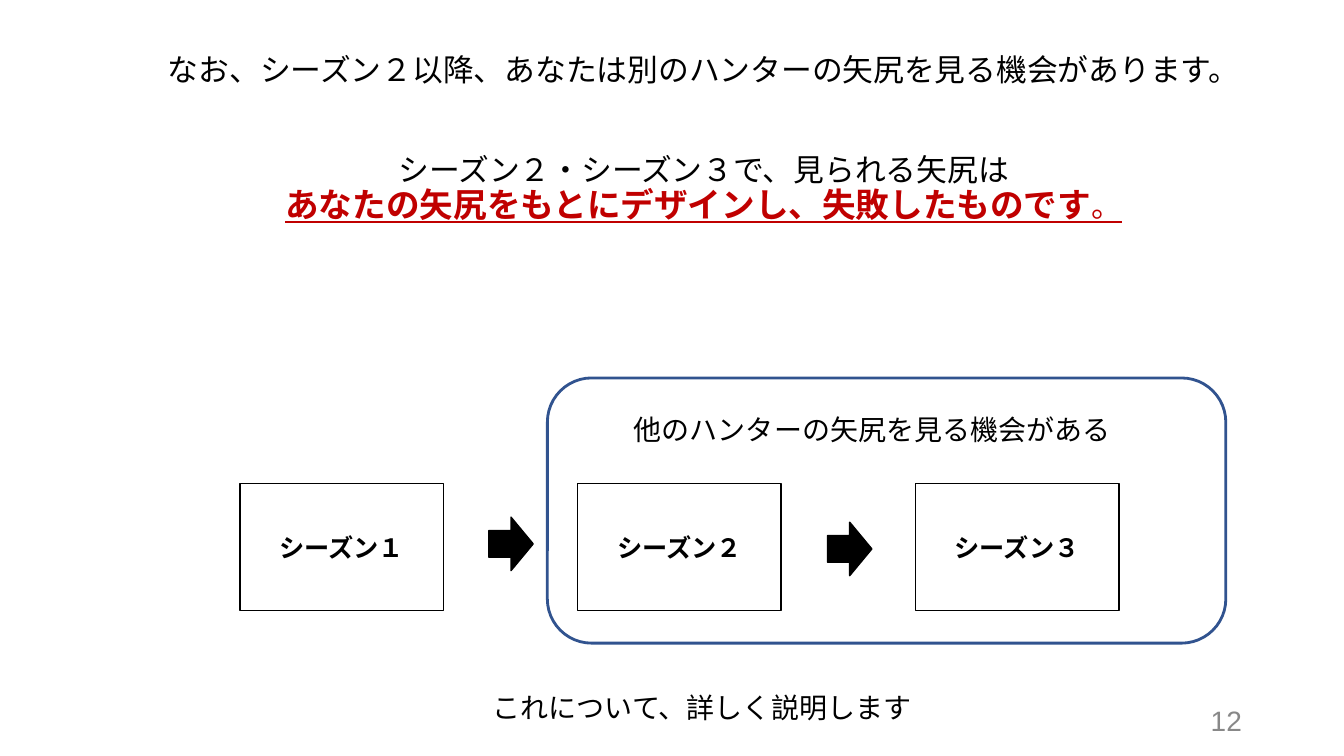
from pptx import Presentation
from pptx.dml.color import RGBColor
from pptx.enum.shapes import MSO_SHAPE
from pptx.enum.text import MSO_ANCHOR, MSO_AUTO_SIZE, PP_ALIGN
from pptx.util import Pt

RECTANGLE = MSO_SHAPE.RECTANGLE
ROUNDED = MSO_SHAPE.ROUNDED_RECTANGLE
ARROW = MSO_SHAPE.RIGHT_ARROW
LEFT, CENTER, RIGHT = PP_ALIGN.LEFT, PP_ALIGN.CENTER, PP_ALIGN.RIGHT
TOP, MIDDLE = MSO_ANCHOR.TOP, MSO_ANCHOR.MIDDLE
FIXED_SIZE = MSO_AUTO_SIZE.NONE

FONT = "Arial"
COLORS = {"black": "000000", "white": "FFFFFF", "red": "C00000",
          "frame": "31538F", "gray": "888888"}
TITLE_ONLY = 5


def color(name):
    return RGBColor.from_string(COLORS[name])


def add_run(paragraph, text, size=20, ink="black", bold=False, underline=False):
    run = paragraph.add_run()
    run.text = text
    font = run.font
    font.name, font.size = FONT, Pt(size)
    font.bold, font.underline = bold, underline
    font.color.rgb = color(ink)


class SlideBuilder:
    def __init__(self, slide):
        self.slide = slide

    def place(self, shape, left, top, width, height):
        shape.left, shape.top = Pt(left), Pt(top)
        shape.width, shape.height = Pt(width), Pt(height)

    def title(self, box, lines):
        """Each line is (space before, [(text, format), ...])."""
        title = self.slide.shapes.title
        self.place(title, *box)
        frame = title.text_frame
        frame.word_wrap, frame.auto_size = True, FIXED_SIZE
        frame.vertical_anchor = TOP
        for index, (space, runs) in enumerate(lines):
            paragraph = frame.add_paragraph() if index else frame.paragraphs[0]
            paragraph.alignment = CENTER
            paragraph.line_spacing = 0.9
            paragraph.space_before = Pt(space)
            for text, style in runs:
                add_run(paragraph, text, **style)

    def text(self, box, text, align=LEFT, anchor=TOP, spacing=1.0, **style):
        frame = self.slide.shapes.add_textbox(*map(Pt, box)).text_frame
        frame.word_wrap, frame.vertical_anchor = True, anchor
        paragraph = frame.paragraphs[0]
        paragraph.alignment, paragraph.line_spacing = align, spacing
        add_run(paragraph, text, **style)

    def shape(self, kind, box, fill=None, line="black", weight=1, text=None, **style):
        shape = self.slide.shapes.add_shape(kind, *map(Pt, box))
        shape.shadow.inherit = False
        if fill:
            shape.fill.solid()
            shape.fill.fore_color.rgb = color(fill)
        else:
            shape.fill.background()
        shape.line.color.rgb = color(line)
        shape.line.width = Pt(weight)
        if text:
            shape.text_frame.vertical_anchor = MIDDLE
            paragraph = shape.text_frame.paragraphs[0]
            paragraph.alignment = CENTER
            add_run(paragraph, text, **style)


def main():
    presentation = Presentation()
    presentation.slide_width, presentation.slide_height = Pt(960), Pt(540)
    slide = presentation.slides.add_slide(presentation.slide_layouts[TITLE_ONLY])
    builder = SlideBuilder(slide)

    # Season boxes
    for index, season in enumerate("１２３"):
        builder.shape(RECTANGLE, (171.4 + 241.2 * index, 345.6, 145.4, 90.7),
                      fill="white", text="シーズン" + season, size=18, bold=True)

    # Arrows between seasons
    for left, top in ((349.2, 369.4), (591.1, 373)):
        builder.shape(ARROW, (left, top, 31.7, 38.2), fill="black")

    # Message
    plain = {"size": 22}
    strong = {"size": 24, "ink": "red", "bold": True, "underline": True}
    builder.title((45.4, 35.3, 914.4, 226), [
        (0, [("なお、シーズン２以降、あなたは別のハンターの矢尻を見る機会があります。", plain)]),
        (48, [("シーズン２・シーズン３で、見られる矢尻は", plain)]),
        (0, [("あなたの矢尻をもとにデザインし、失敗したものです", strong),
             ("。", {**strong, "size": 22, "bold": False})]),
    ])

    # Frame around the later seasons
    builder.shape(ROUNDED, (391, 270, 484.6, 189.4), line="frame", weight=2)
    builder.text((445.7, 290.9, 401, 31.7), "他のハンターの矢尻を見る機会がある")

    # Closing line and slide number
    builder.text((115.9, 492.5, 771.1, 55.4), "これについて、詳しく説明します",
                 align=CENTER, spacing=0.9)
    builder.text((678.2, 500.4, 216, 28.8), "12", align=RIGHT, anchor=MIDDLE, ink="gray")

    presentation.save("out.pptx")


if __name__ == "__main__":
    main()
